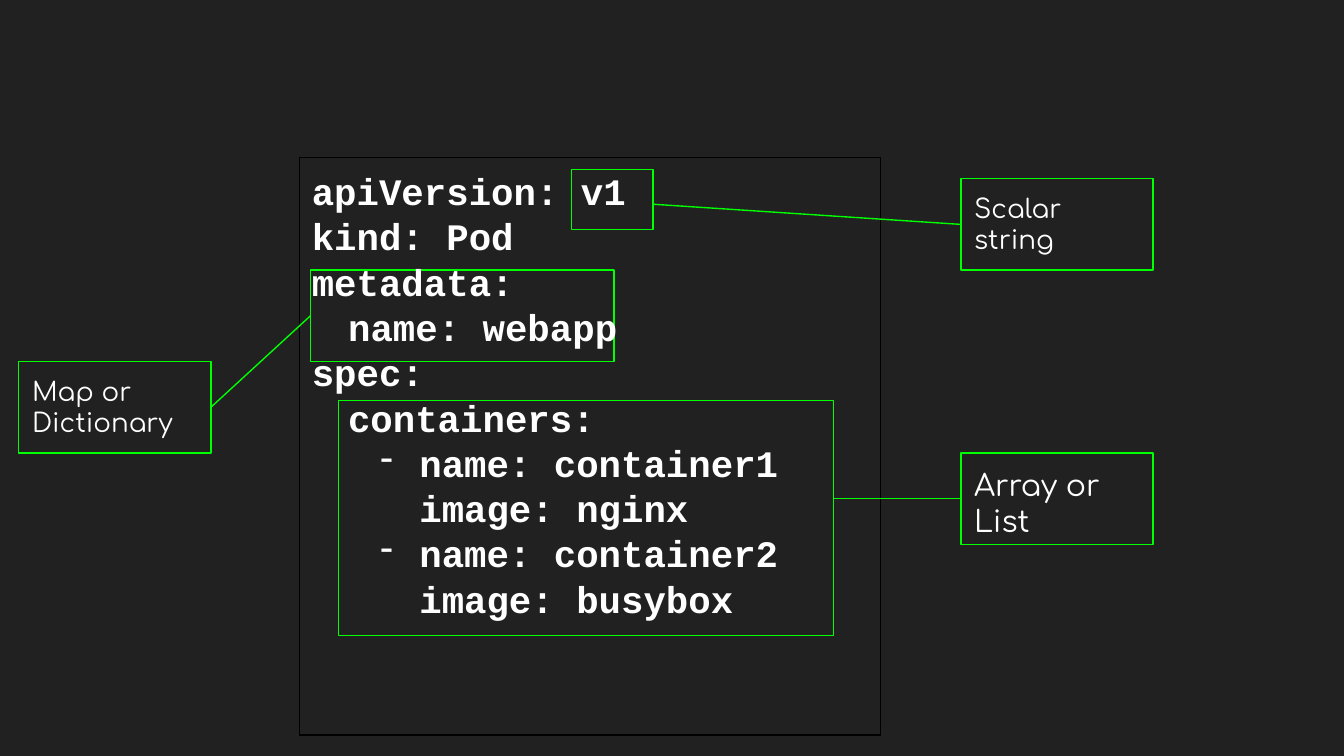
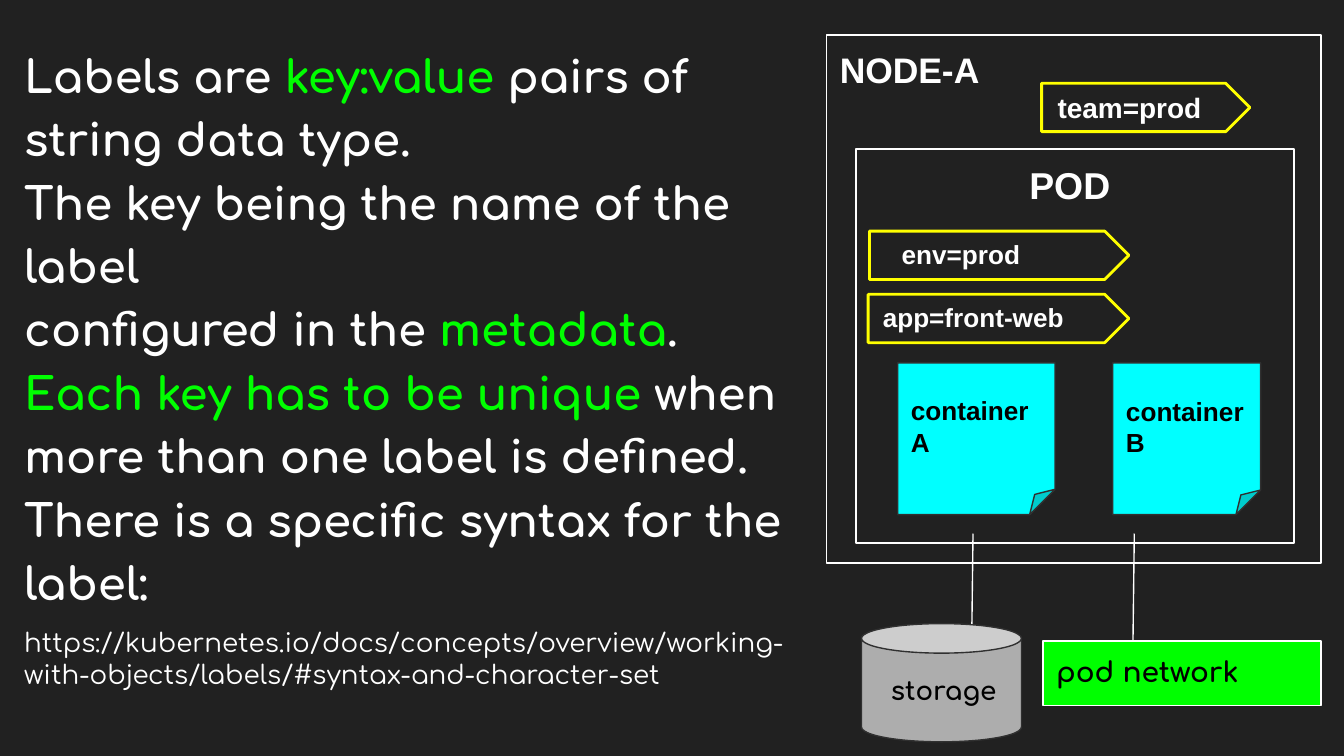
from lxml.etree import SubElement
from pptx import Presentation
from pptx.dml.color import RGBColor
from pptx.enum.shapes import MSO_CONNECTOR, MSO_SHAPE
from pptx.enum.text import MSO_ANCHOR, PP_ALIGN
from pptx.oxml.ns import qn
from pptx.util import Inches, Pt

HUES = {
    "back": "212121", "white": "FFFFFF", "black": "000000", "green": "00FF00",
    "yellow": "FFFF00", "cyan": "00FFFF", "gray": "ADADAD", "edge": "303030",
}
RECT, PLATE = MSO_SHAPE.RECTANGLE, MSO_SHAPE.PENTAGON
NOTE, CAN = MSO_SHAPE.FOLDED_CORNER, MSO_SHAPE.CAN
ROUND, MONO, SANS = "Comfortaa", "Courier New", "Arial"

# Content: YAML slide
CODE = [
    dict(text="apiVersion: v1\vkind: Pod\vmetadata:", left=0.09, pitch=1.01),
    dict(text="name: webapp\vspec:", left=0.09, first=0.27, pitch=1.01),
    dict(text="containers:", left=0.36, before=0.3),
    dict(text="name: container1\vimage: nginx", left=0.89, first=-0.29,
         pitch=1.01, mark="-"),
    dict(text="name: container2\vimage: busybox", left=0.89, first=-0.29,
         pitch=1.01, mark="-"),
]
AREAS = {
    "scalar": (4.25, 1.26, 0.61, 0.45),
    "map": (2.31, 2.01, 2.26, 0.68),
    "list": (2.52, 2.98, 3.68, 1.75),
}
# name: left, top, size, lines
CALLS = {
    "map": (0.14, 2.69, 14, ["Map or Dictionary"]),
    "list": (7.15, 3.37, 16, ["Array or List"]),
    "scalar": (7.15, 1.33, 14, ["Scalar", "string"]),
}
# name: line start, line end, side of area joined (if any), side of callout
LINKS = {
    "map": ((2.31, 2.35), (1.57, 3.03), 1, 3),
    "scalar": ((4.86, 1.52), (7.15, 1.67), None, 1),
    "list": ((6.2, 3.71), (7.15, 3.71), None, 1),
}

# Content: labels slide; a run is (text, colour)
FACTS = [
    [("Labels are ", "white"), ("key:value", "green"),
     (" pairs of string data type.", "white")],
    [("The key being the name of the label", "white")],
    [("configured in the ", "white"), ("metadata", "green"), (".", "white")],
    [("Each key has to be unique", "green"),
     (" when more than one label is defined.", "white")],
    [("There is a specific syntax for the label:", "white")],
]
URL = ("https://kubernetes.io/docs/concepts/overview/"
       "working-with-objects/labels/#syntax-and-character-set")
NODE = [dict(text="NODE-A", size=19), dict(text="team=prod", size=15, left=1.62)]
POD = [
    dict(text="POD", size=20, left=1.19),
    dict(text="env=prod", left=0.24, before=16.8),
    dict(text="app=front-web", left=0.1, before=16.8),
]
TAGS = [(7.75, 0.62, 1.55, 0.36), (6.47, 1.72, 1.93, 0.36), (6.46, 2.19, 1.94, 0.36)]
NOTES = [("A", 6.68, 1.17), ("B", 8.28, 1.1)]
WIRES = [8.44, 7.24]


def rgb(hue):
    return RGBColor.from_string(HUES[hue])


def write(shape, paras, font, size, hue="white", bold=False,
          ins=(0.1, 0.1, 0.1, 0.1), anchor=MSO_ANCHOR.TOP):
    """Fill a shape with paragraphs; each dict may override the defaults."""
    frame = shape.text_frame
    frame.word_wrap = True
    frame.vertical_anchor = anchor
    (frame.margin_left, frame.margin_top,
     frame.margin_right, frame.margin_bottom) = map(Inches, ins)
    for i, item in enumerate(paras):
        para = frame.add_paragraph() if i else frame.paragraphs[0]
        para.alignment = PP_ALIGN.LEFT
        props = para._p.get_or_add_pPr()
        props.set("marL", str(Inches(item.get("left", 0))))
        props.set("indent", str(Inches(item.get("first", 0))))
        if "mark" in item:
            tint = SubElement(props, qn("a:buClr"))
            SubElement(tint, qn("a:srgbClr")).set("val", HUES["white"])
            SubElement(props, qn("a:buChar")).set("char", item["mark"])
        if "pitch" in item:
            para.line_spacing = item["pitch"]
        if "before" in item:
            para.space_before = Pt(item["before"])
        if "runs" in item:
            hues = [tone for _, tone in item["runs"]]
            for text, _ in item["runs"]:
                para.add_run().text = text
        else:
            para.text = item["text"]
            hues = [hue] * len(para.runs)
        for run, tone in zip(para.runs, hues):
            run.font.name = font
            run.font.size = Pt(item.get("size", size))
            run.font.bold = item.get("bold", bold)
            run.font.color.rgb = rgb(tone)


def draw(slide, kind, at, line, fill=None, width=0.75):
    shape = slide.shapes.add_shape(kind, *map(Inches, at))
    shape.shadow.inherit = False
    if fill:
        shape.fill.solid()
        shape.fill.fore_color.rgb = rgb(fill)
    else:
        shape.fill.background()
    shape.line.color.rgb = rgb(line)
    shape.line.width = Pt(width)
    return shape


def link(slide, start, end, hue):
    wire = slide.shapes.add_connector(
        MSO_CONNECTOR.STRAIGHT, *map(Inches, start + end))
    wire.line.color.rgb = rgb(hue)
    wire.line.width = Pt(0.75)
    SubElement(wire._element.spPr, qn("a:effectLst"))
    return wire


def page(deck):
    slide = deck.slides.add_slide(deck.slide_layouts[6])
    slide.background.fill.solid()
    slide.background.fill.fore_color.rgb = rgb("back")
    return slide


def yaml(slide):
    # Code panel, above the map outline
    areas = {"map": draw(slide, RECT, AREAS["map"], "green")}
    panel = draw(slide, RECT, (2.23, 1.17, 4.32, 4.3), "black")
    write(panel, CODE, MONO, 20, bold=True, ins=(0, 0.08, 0, 0))
    # Other outlined areas and the callouts
    for name in ("scalar", "list"):
        areas[name] = draw(slide, RECT, AREAS[name], "green")
    calls = {}
    for name, (left, top, size, lines) in CALLS.items():
        calls[name] = draw(slide, RECT, (left, top, 1.43, 0.68), "green")
        write(calls[name], [dict(text=text) for text in lines], ROUND, size)
    # Lines between them
    for name, (start, end, near, far) in LINKS.items():
        wire = link(slide, start, end, "green")
        if near is not None:
            wire.begin_connect(areas[name], near)
        wire.end_connect(calls[name], far)


def labels(slide):
    # Label tag of the node
    draw(slide, PLATE, TAGS[0], "yellow", width=1.5)
    # Wires to storage and network
    for x in WIRES:
        link(slide, (x, 3.97), (x - 0.01, 4.77), "white")
    store = draw(slide, CAN, (6.41, 4.64, 1.19, 0.88), "edge", "gray")
    write(store, [dict(text="storage", left=0.12)], ROUND, 14, "black", True,
          anchor=MSO_ANCHOR.MIDDLE)
    net = draw(slide, RECT, (7.76, 4.77, 2.07, 0.48), "white", "green")
    write(net, [dict(text="pod network")], ROUND, 15, "black", True)
    # Node
    node = draw(slide, RECT, (6.15, 0.26, 3.68, 3.93), "white")
    write(node, NODE, SANS, 15, bold=True)
    # Explanation
    body = slide.shapes.add_textbox(*map(Inches, (0.18, 0.26, 5.83, 5.02)))
    facts = [dict(runs=runs, pitch=1.18) for runs in FACTS]
    facts.append(dict(text=URL, size=14, bold=False, before=9.3))
    write(body, facts, ROUND, 24, bold=True, ins=(0, 0.03, 0, 0))
    # Pod with its containers
    pod = draw(slide, RECT, (6.37, 1.11, 3.26, 2.93), "white")
    write(pod, POD, SANS, 14, bold=True)
    for name, left, wide in NOTES:
        note = draw(slide, NOTE, (left, 2.7, wide, 1.13), "edge", "cyan")
        write(note, [dict(text="container"), dict(text=name)], SANS, 14,
              "black", True, anchor=MSO_ANCHOR.MIDDLE)
    # Label tags of the pod
    for at in TAGS[1:]:
        draw(slide, PLATE, at, "yellow", width=1.5)


def main():
    deck = Presentation()
    deck.slide_width = Inches(10)
    deck.slide_height = deck.slide_width * 9 // 16
    yaml(page(deck))
    labels(page(deck))
    deck.save("out.pptx")


if __name__ == "__main__":
    main()
